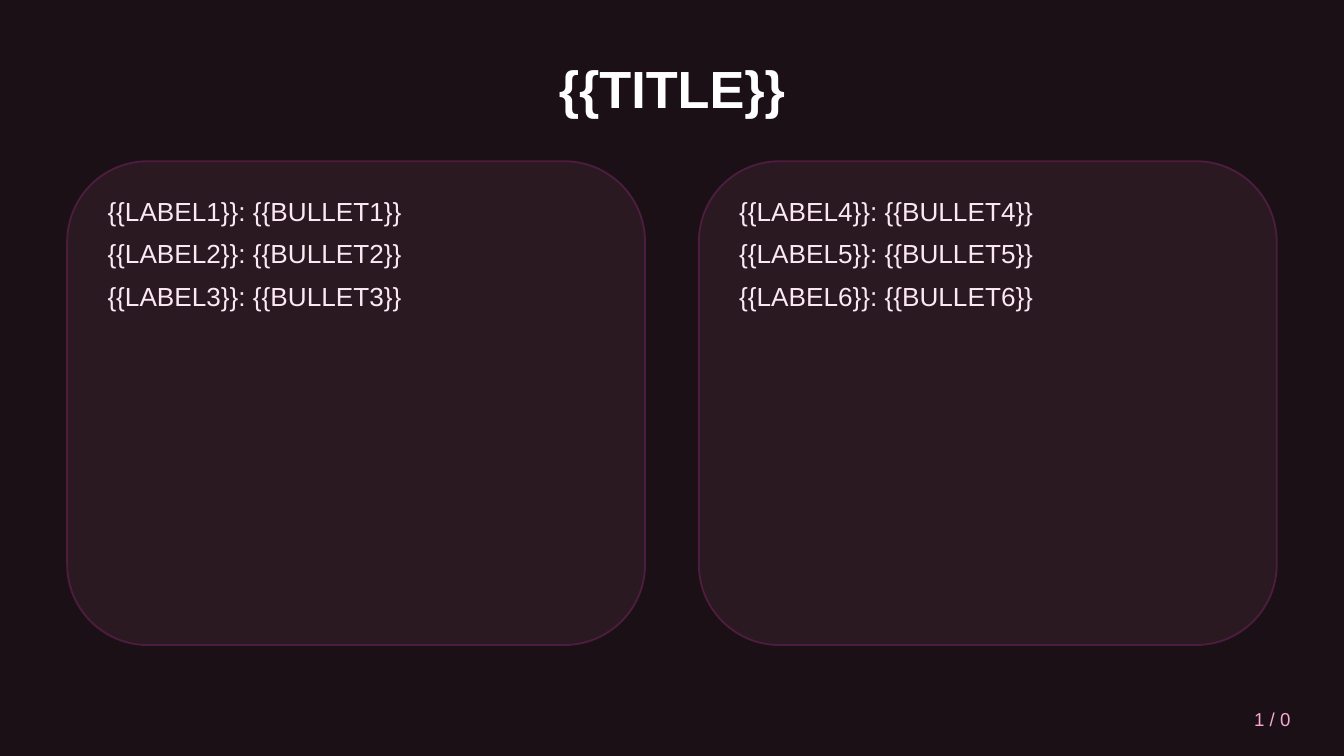
"""Build a dark slide with a title and two rounded panels of labelled points."""
from lxml import etree
from pptx import Presentation
from pptx import util as u
from pptx.dml.color import RGBColor
from pptx.enum import shapes, text
from pptx.oxml.ns import qn

COLORS = {
    "background": "1C1017",
    "panel": "2D1A24",
    "border": "4C1D3D",
    "title": "FFFFFF",
    "body": "FCE7F3",
    "page": "F9A8D4",
}


def place(box, left, top, width, height):
    box.left, box.top = u.Inches(left), u.Inches(top)
    box.width, box.height = u.Inches(width), u.Inches(height)
    box.text_frame.word_wrap = True
    box.text_frame.auto_size = text.MSO_AUTO_SIZE.NONE


def style(para, size, color, align, bold=False):
    para.alignment = align
    for span in para.runs:
        span.font.name = "Arial"
        span.font.size = u.Pt(size)
        span.font.bold = bold
        span.font.color.rgb = RGBColor.from_string(COLORS[color])


deck = Presentation()
deck.slide_width = u.Inches(10)
deck.slide_height = u.Inches(10 * 9 / 16)
page = deck.slides.add_slide(deck.slide_layouts[3])
page.background.fill.solid()
page.background.fill.fore_color.rgb = RGBColor.from_string(COLORS["background"])

title = page.shapes.title
place(title, 0.5, 0.3, 9, 0.7)
title.text_frame.text = "{{TITLE}}"
title.text_frame.vertical_anchor = text.MSO_ANCHOR.MIDDLE
style(title.text_frame.paragraphs[0], 28, "title", text.PP_ALIGN.CENTER, bold=True)

for column in range(2):
    left = 0.5 + 4.7 * column
    panel = page.shapes.add_shape(
        shapes.MSO_SHAPE.ROUNDED_RECTANGLE,
        u.Inches(left), u.Inches(1.2), u.Inches(4.3), u.Inches(3.6),
    )
    panel.shadow.inherit = False
    panel.fill.solid()
    panel.fill.fore_color.rgb = RGBColor.from_string(COLORS["panel"])
    fill_color = panel.fill._xPr.find(qn("a:solidFill"))[0]
    etree.SubElement(fill_color, qn("a:alpha"), val="90000")
    panel.line.color.rgb = RGBColor.from_string(COLORS["border"])
    panel.line.width = u.Pt(1)

    body = page.placeholders[column + 1]
    body._element.addprevious(panel._element)
    place(body, left + 0.2, 1.4, 3.9, 3.2)
    body.text_frame.vertical_anchor = text.MSO_ANCHOR.TOP
    numbers = range(3 * column + 1, 3 * column + 4)
    body.text_frame.text = "\n".join(f"{{{{LABEL{n}}}}}: {{{{BULLET{n}}}}}" for n in numbers)
    for para in body.text_frame.paragraphs:
        properties = para._p.get_or_add_pPr()
        properties.set("marL", "0")
        properties.set("indent", "0")
        etree.SubElement(properties, qn("a:buNone"))
        para.space_before, para.space_after = u.Pt(0), u.Pt(6)
        style(para, 14, "body", text.PP_ALIGN.LEFT)

counter = page.shapes.add_textbox(0, 0, 0, 0)
place(counter, 8.5, 5.2, 1.2, 0.3)
counter.text_frame.text = "1 / 0"
counter.text_frame.vertical_anchor = text.MSO_ANCHOR.MIDDLE
style(counter.text_frame.paragraphs[0], 10, "page", text.PP_ALIGN.RIGHT)

deck.save("out.pptx")
